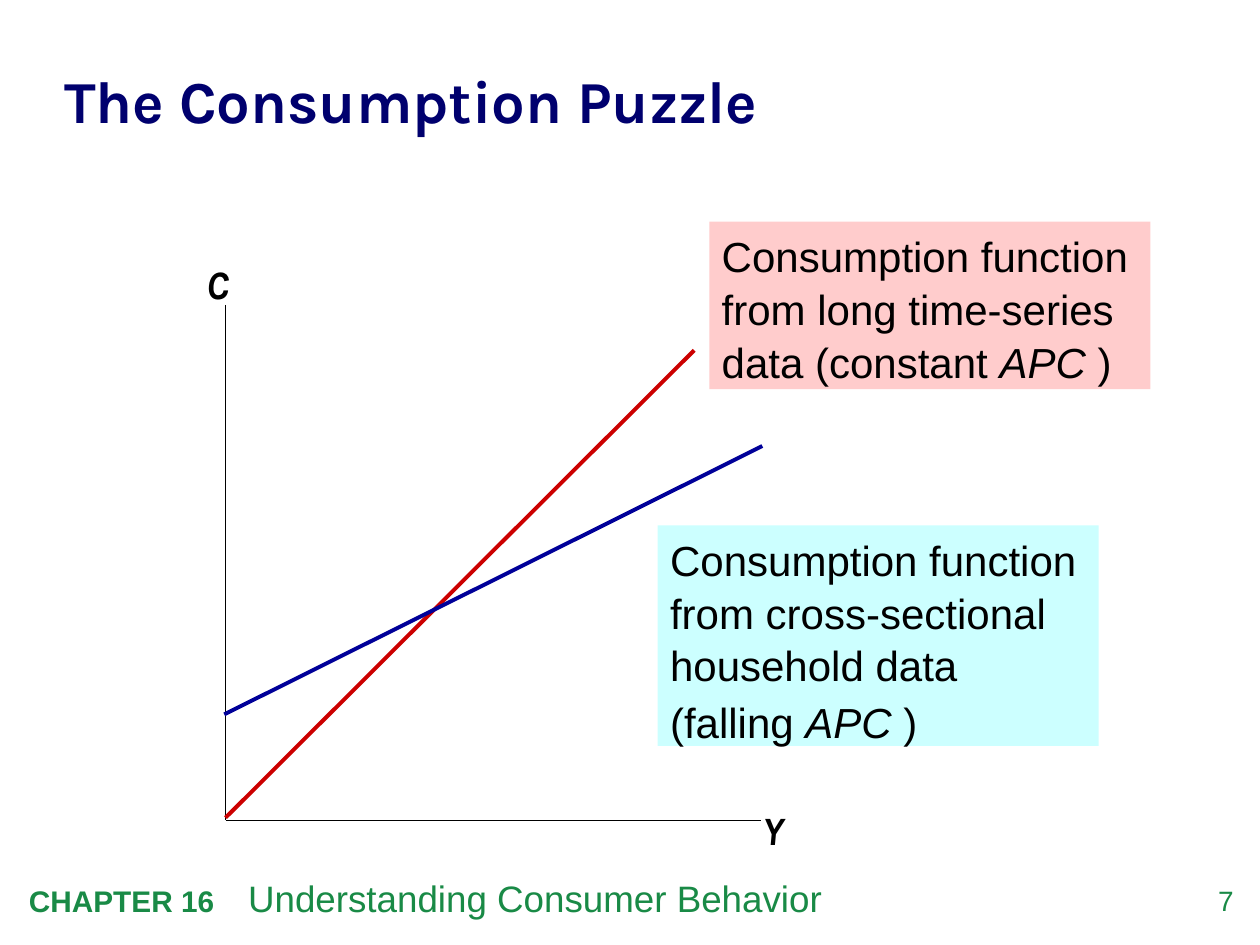
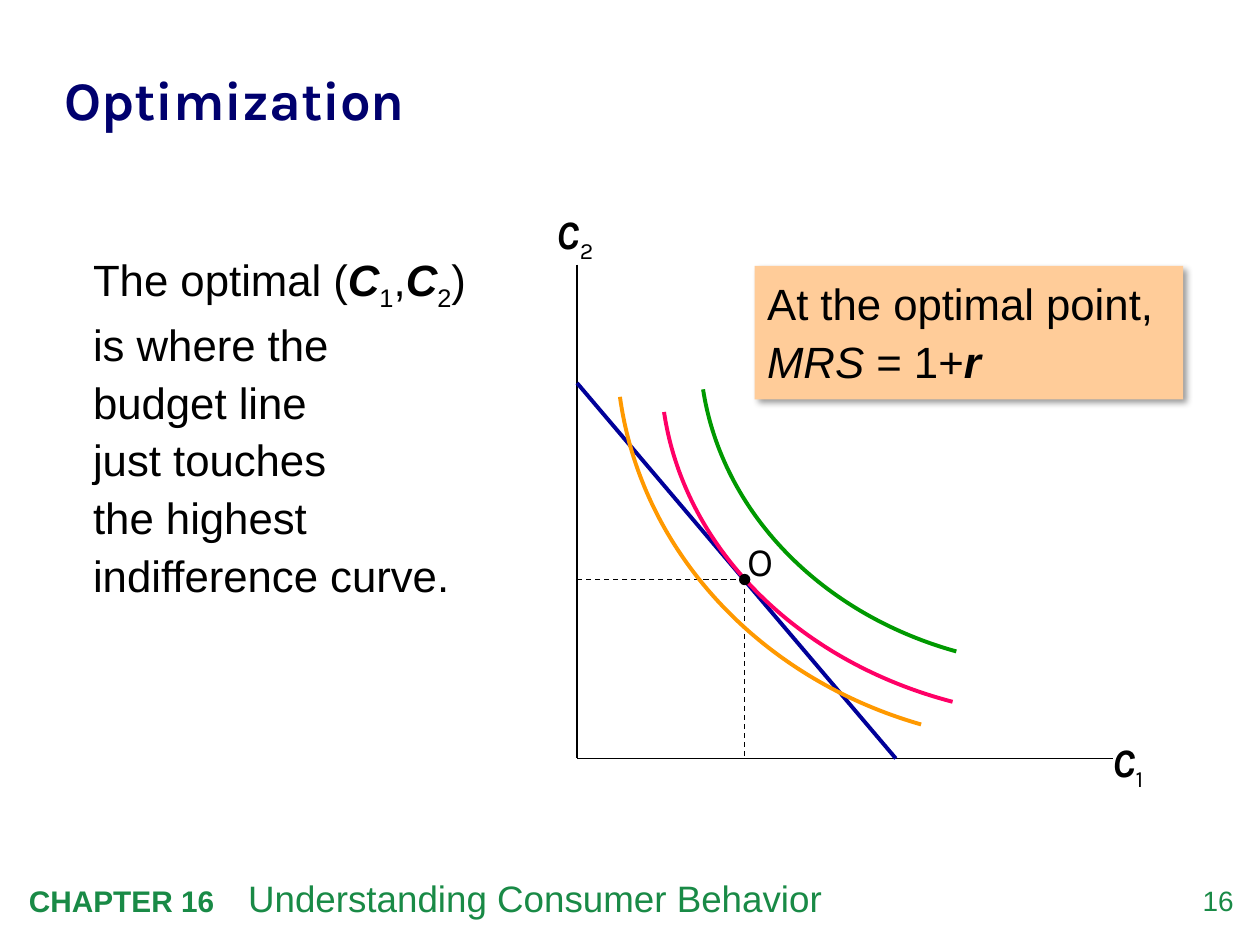
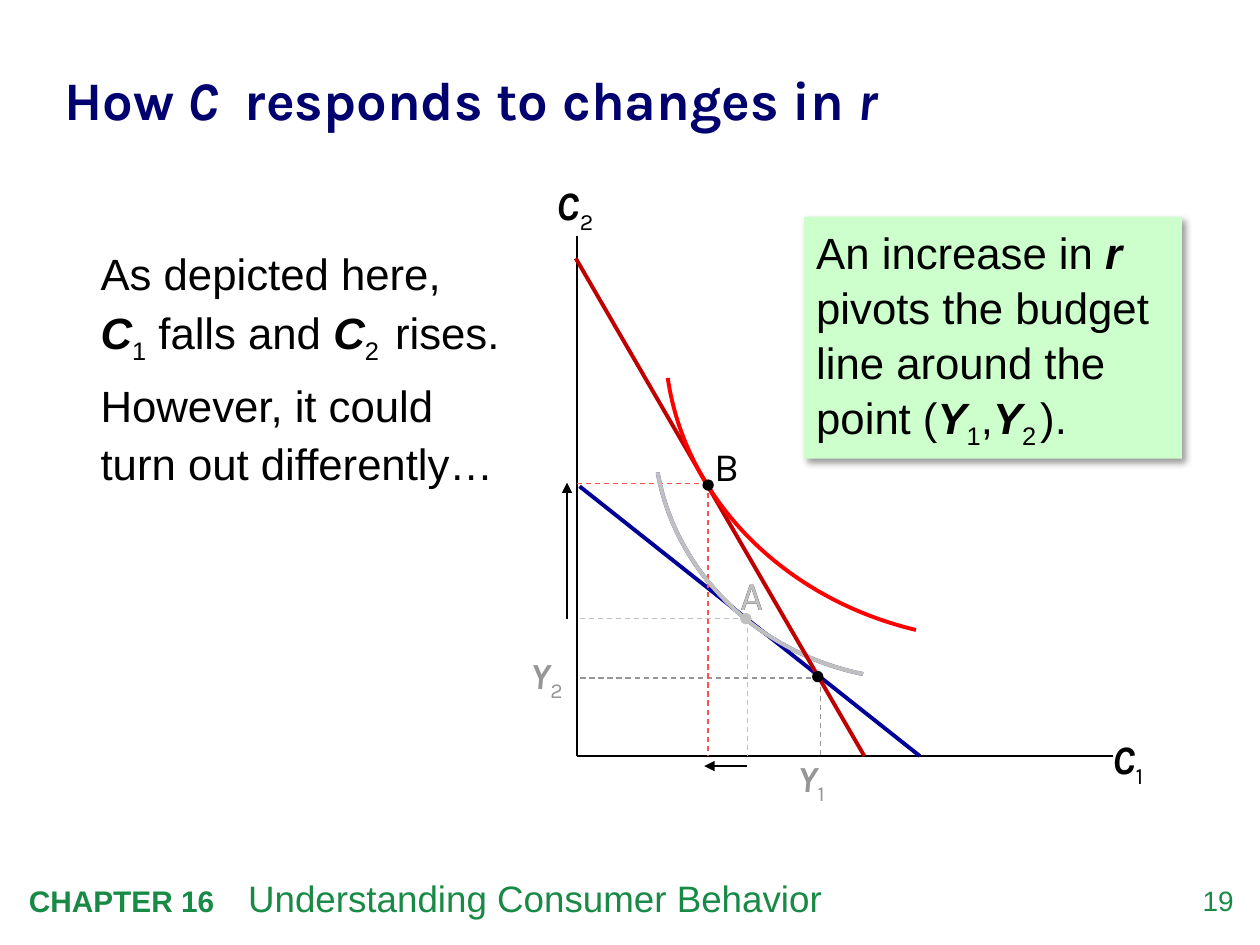
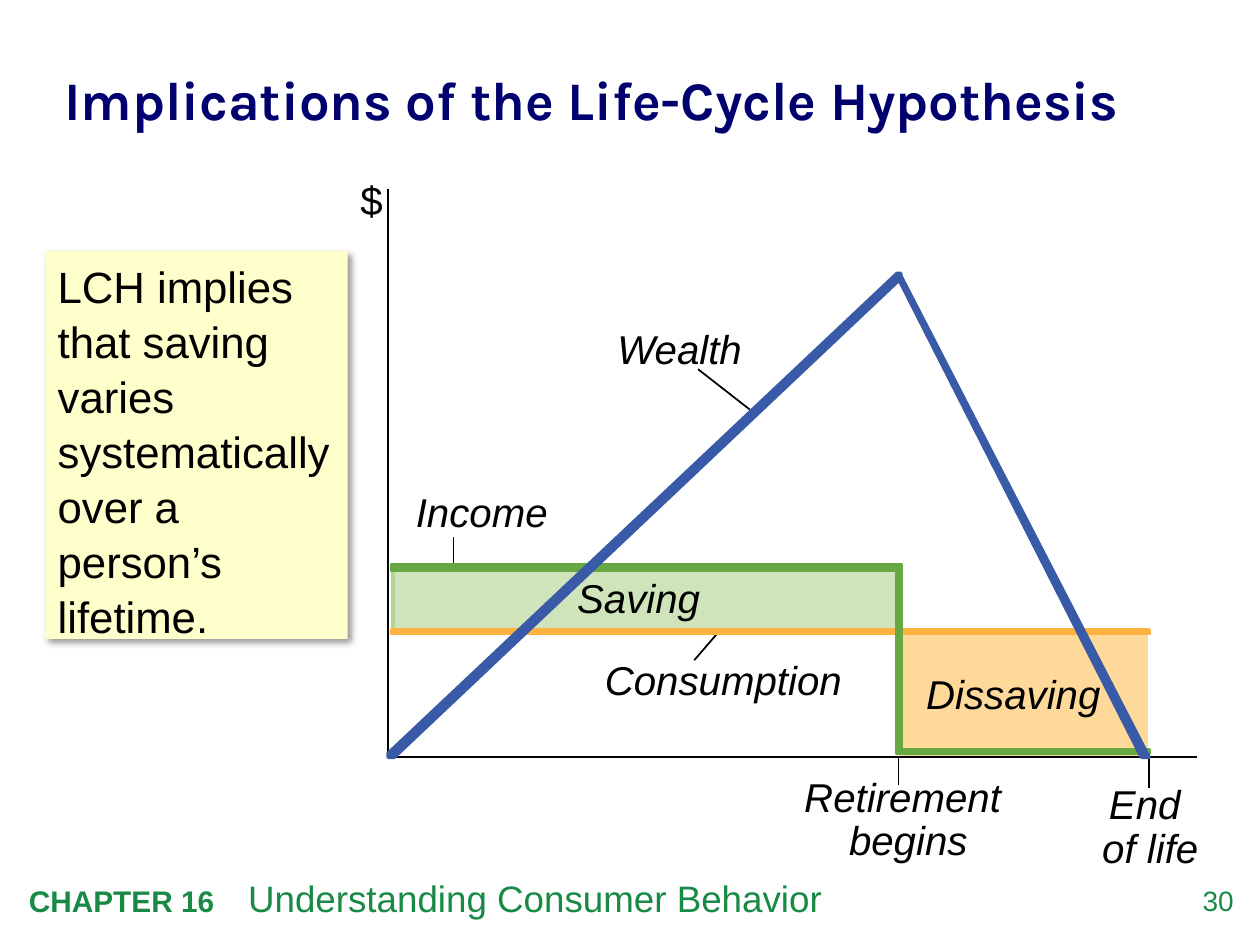
from dataclasses import dataclass

from lxml.etree import SubElement
from pptx import Presentation
from pptx.dml.color import RGBColor
from pptx.enum.dml import MSO_LINE_DASH_STYLE as Dash
from pptx.enum.shapes import MSO_CONNECTOR as Connector, MSO_SHAPE as Shape
from pptx.enum.text import MSO_ANCHOR as Anchor, PP_ALIGN as Align
from pptx.oxml.ns import qn
from pptx.util import Inches, Pt

COLUMNS, ROWS = 100, 75
WIDTH, HEIGHT = Inches(10), Inches(7.5)


@dataclass(frozen=True)
class Theme:
    body_font: str = "Arial"
    label_font: str = "Karla"
    ink: str = "000000"
    title: str = "00006E"
    footer: str = "198A46"
    budget: str = "000099"
    long_run: str = "CC0000"
    new_budget: str = "C00000"
    best_curve: str = "FF0066"
    high_curve: str = "009900"
    low_curve: str = "FF9900"
    new_curve: str = "FF0000"
    new_guide: str = "FF5050"
    old_guide: str = "333399"
    faded: str = "C0C0C0"
    endowment: str = "969696"
    pink: str = "FFCCCC"
    cyan: str = "CCFFFF"
    peach: str = "FFCC99"
    mint: str = "CCFFCC"
    cream: str = "FFFFCC"
    saving: str = "B3D492"
    dissaving: str = "FED99A"
    consumption: str = "FEB341"
    income: str = "66A842"
    wealth: str = "395AA7"
    big_title_size: int = 34
    title_size: int = 31
    body_size: int = 25
    note_size: int = 24
    label_size: int = 23
    small_label_size: int = 21
    footer_size: int = 21
    chapter_size: int = 17
    page_size: int = 16
    gap_size: int = 14
    hairline: float = 0.75
    thin: float = 1
    arrow: float = 1.5
    edge: float = 2
    thick: float = 2.25


THEME = Theme()


def rgb(code):
    return RGBColor.from_string(code)


def col(count):
    return round(WIDTH * count / COLUMNS)


def row(count):
    return round(HEIGHT * count / ROWS)


def frame(left, top, width, height):
    return col(left), row(top), col(width), row(height)


def run_parts(words, flags="", size=None):
    return words, flags, size


class SlideBuilder:
    """Draws on the current slide; lengths are columns and rows of the grid."""

    def __init__(self, theme):
        self.theme = theme
        self.deck = Presentation()
        self.deck.slide_width, self.deck.slide_height = WIDTH, HEIGHT
        self.page = None

    def new_page(self, number, title, title_size=None):
        theme = self.theme
        self.page = self.deck.slides.add_slide(self.deck.slide_layouts[6])
        self.text((92.4, 70.1, 5.5, 3.2), [[str(number)]], theme.page_size,
                  color=theme.footer, inset=(0, 0), align=Align.RIGHT)
        footer = self.text(
            (1.3, 69, 81.8, 4.5),
            [[("CHAPTER 16\t", "b", theme.chapter_size), "Understanding Consumer Behavior"]],
            theme.footer_size, color=theme.footer)
        properties = footer.text_frame.paragraphs[0]._p.get_or_add_pPr()
        SubElement(SubElement(properties, qn("a:tabLst")), qn("a:tab"),
                   pos=str(col(17.4)), algn="l")
        heading = self.text((5.1, 2.6, 90.2, 10.3), [title], title_size or theme.title_size,
                            font=theme.label_font, color=theme.title, inset=(0, 0),
                            spacing=1.05, bold=True)
        heading.text_frame.vertical_anchor = Anchor.MIDDLE

    def text(self, place, paragraphs, size, **style):
        box = self.page.shapes.add_textbox(*frame(*place))
        self.set_text(box, paragraphs, size, **style)
        return box

    def set_text(self, box, paragraphs, size, font=None, color=None, inset=(1, 0.5),
                 spacing=None, before=0, align=Align.LEFT, bold=False, wrap=True):
        """Runs are a string or (text, flags, size); flags are b, i and s (subscript)."""
        body = box.text_frame
        body.word_wrap = wrap
        body.vertical_anchor = Anchor.TOP
        body.margin_left = body.margin_right = col(inset[0])
        body.margin_top = body.margin_bottom = row(inset[1])
        for index, runs in enumerate(paragraphs):
            para = body.add_paragraph() if index else body.paragraphs[0]
            para.alignment = align
            if spacing:
                para.line_spacing = spacing
            if index:
                para.space_before = Pt(size * before)
            for item in runs:
                words, flags, run_size = run_parts(*([item] if isinstance(item, str) else item))
                for line_index, line in enumerate(words.split("\n")):
                    if line_index:
                        para.add_line_break()
                    if line:
                        self.add_run(para, line, flags, run_size or size, bold,
                                     font or self.theme.body_font, color or self.theme.ink)

    @staticmethod
    def add_run(para, words, flags, size, bold, font, color):
        span = para.add_run()
        span.text = words
        span.font.name, span.font.size = font, Pt(size)
        span.font.bold, span.font.italic = bold or "b" in flags, "i" in flags
        span.font.color.rgb = rgb(color)
        if "s" in flags:
            span.font._element.set("baseline", "-25000")

    def shape(self, kind, place, fill, line=None, width=None, opacity=None):
        item = self.page.shapes.add_shape(kind, *frame(*place))
        self.paint(item, fill, line, width)
        if opacity:
            color = item._element.spPr.find(qn("a:solidFill"))[0]
            SubElement(color, qn("a:alpha"), val=str(opacity * 1000))
        return item

    @staticmethod
    def paint(item, fill, line, width):
        item.shadow.inherit = False
        if fill:
            item.fill.solid()
            item.fill.fore_color.rgb = rgb(fill)
        else:
            item.fill.background()
        if line:
            item.line.color.rgb = rgb(line)
            item.line.width = Pt(width)
        else:
            item.line.fill.background()

    def note(self, place, fill, paragraphs, size, spacing=1.05, shadow=True):
        box = self.shape(Shape.RECTANGLE, place, fill)
        self.set_text(box, paragraphs, size, spacing=spacing, before=0.1)
        if shadow:
            effects = box._element.spPr.find(qn("a:effectLst"))
            outer = SubElement(effects, qn("a:outerShdw"), blurRad=str(Pt(4)), dist=str(Pt(3)),
                               dir="2700000", algn="tl", rotWithShape="0")
            color = SubElement(outer, qn("a:srgbClr"), val=self.theme.ink)
            SubElement(color, qn("a:alpha"), val="40000")

    def line(self, start, end, color=None, width=None, dashed=False, arrow=False):
        link = self.page.shapes.add_connector(
            Connector.STRAIGHT, col(start[0]), row(start[1]), col(end[0]), row(end[1]))
        link.line.color.rgb = rgb(color or self.theme.ink)
        link.line.width = Pt(width or self.theme.thin)
        if dashed:
            link.line.dash_style = Dash.DASH
        if arrow:
            SubElement(link._element.spPr.find(qn("a:ln")), qn("a:tailEnd"), type="triangle")
        SubElement(link._element.spPr, qn("a:effectLst"))

    def outline(self, points, fill=None, line=None, width=None, close=True):
        corners = [(col(x), row(y)) for x, y in points]
        builder = self.page.shapes.build_freeform(*corners[0])
        builder.add_line_segments(corners[1:], close=close)
        item = builder.convert_to_shape()
        self.paint(item, fill, line or self.theme.ink, width or self.theme.thin)
        return item

    def curve(self, points, color):
        """Bend an open outline of four points into one cubic curve."""
        item = self.outline(points, line=color, width=self.theme.thick, close=False)
        steps = item._element.findall(".//" + qn("a:lnTo"))
        owner = steps[0].getparent()
        bend = SubElement(owner, qn("a:cubicBezTo"))
        for step in steps:
            bend.append(step[0])
            owner.remove(step)

    def dot(self, center, color=None):
        color = color or self.theme.ink
        self.shape(Shape.OVAL, (center[0] - 0.4, center[1] - 0.4, 0.8, 0.8),
                   color, color, self.theme.hairline)

    def guides(self, point, axis, base, color=None):
        for end in ((point[0], base), (axis, point[1])):
            self.line(point, end, color, self.theme.hairline, dashed=True)

    def axes(self, left, right, top, base, width):
        self.line((left, top), (left, base), width=width)
        self.line((left, base), (right, base), width=width)

    def symbol(self, left, top, runs, color=None, size=None):
        self.text((left, top, 4.2, 4.3), [runs], size or self.theme.label_size,
                  font=self.theme.label_font, color=color, inset=(0, 0))

    def period_axes(self, top, base):
        self.axes(45.8, 88.3, top, base, self.theme.thin)
        self.symbol(88.3, base - 1.7, indexed("C", 1))
        self.symbol(44.2, top - 4.4, indexed("C", 2))

    def caption(self, place, words, flags="i", **style):
        self.text(place, [[(words, flags)]], self.theme.label_size, inset=(0, 0),
                  wrap=False, **style)


def indexed(letter, number):
    return [(letter, "bi"), (str(number), "s")]


def consumption_puzzle(slide):
    theme = slide.theme
    slide.new_page(7, ["The Consumption Puzzle"], theme.big_title_size)
    slide.axes(17.9, 60.4, 24.2, 65.1, theme.hairline)
    slide.symbol(16.4, 20.6, [("C", "bi")])
    slide.symbol(60.5, 63.9, [("Y", "bi")])
    slide.line((17.9, 64.9), (55.1, 27.8), theme.long_run, theme.thick)
    slide.note((56.3, 17.6, 35, 13.3), theme.pink,
               [["Consumption function from long time-series data (constant ", ("APC ", "i"), ")"]],
               theme.note_size, shadow=False)
    slide.line((17.8, 56.7), (60.5, 35.4), theme.budget, theme.thick)
    slide.note((52.2, 41.7, 35, 17.5), theme.cyan,
               [["Consumption function from cross-sectional household data"],
                ["(falling ", ("APC ", "i"), ")"]],
               theme.note_size, shadow=False)


def optimization(slide):
    theme = slide.theme
    base, optimum = 60.2, (59.1, 46)
    slide.new_page(16, ["Optimization"])
    slide.text((6.4, 19.1, 34.2, 36.9),
               [["The optimal (", *indexed("C", 1), ",", *indexed("C", 2),
                 ") is where the \nbudget line \njust touches \n"
                 "the highest indifference curve."]],
               theme.body_size, spacing=1.1)
    slide.period_axes(21, base)
    slide.line((45.8, 30.4), (71.1, base), theme.budget, theme.thick)
    slide.guides(optimum, 45.8, base)
    for color, points in (
        (theme.best_curve, [(75.6, 55.7), (63.3, 52.5), (54.3, 43.5), (52.7, 32.7)]),
        (theme.high_curve, [(75.9, 51.7), (65.1, 48.7), (57.3, 40.6), (55.8, 30.9)]),
        (theme.low_curve, [(73.1, 57.5), (60.2, 53.8), (50.9, 43.7), (49.2, 31.5)]),
    ):
        slide.curve(points, color)
    slide.symbol(59.3, 42.6, ["O"])
    slide.dot(optimum)
    slide.note((59.9, 21.1, 34, 10.6), theme.peach,
               [["At the optimal point, ", ("MRS", "i"), " = 1+", ("r", "bi")]],
               theme.body_size, spacing=1.1)


def response_to_interest(slide):
    theme = slide.theme
    axis, base = 45.8, 60
    old_choice, new_choice, endowment = (59.3, 49.1), (56.2, 38.4), (65.1, 53.8)
    gap = (" ", "s", theme.gap_size)

    def old_optimum(color, letter_color):
        slide.guides(old_choice, axis, base, color)
        slide.symbol(58.8, 45.3, ["A"], letter_color)
        slide.curve([(68.5, 53.5), (60.1, 51.8), (53.6, 45.4), (52.2, 37.5)], color)

    slide.new_page(19, ["How ", ("C ", "i"), " responds to changes in ", ("r", "i")])
    old_optimum(theme.old_guide, theme.ink)
    slide.note((63.8, 17.2, 30, 19.2), theme.mint,
               [["An increase in ", ("r", "bi"), " pivots the budget line around the \npoint (",
                 *indexed("Y", 1), ",", *indexed("Y", 2), gap, ")."]],
               theme.body_size)
    slide.period_axes(18.7, base)
    slide.line((46, 38.6), (73, base), theme.budget, theme.thick)
    slide.guides(endowment, axis, base, theme.endowment)
    for left, top, number in ((63.3, 60, 1), (42.1, 51.8, 2)):
        slide.symbol(left, top, indexed("Y", number), theme.endowment, theme.small_label_size)
    slide.guides(new_choice, axis, base, theme.new_guide)
    old_optimum(theme.faded, theme.faded)
    slide.dot((59.2, 49.1), theme.faded)
    slide.line((45.7, 20.5), (68.6, base), theme.new_budget, theme.thick)
    slide.dot((64.9, 53.7))
    slide.curve([(72.7, 50), (62.2, 47.5), (54.4, 39.6), (53, 30)], theme.new_curve)
    slide.dot((56.2, 38.5))
    slide.symbol(56.7, 35, ["B"])
    slide.text((7, 18.7, 34.2, 31.2),
               [["As depicted here, \n", *indexed("C", 1), " falls and ", *indexed("C", 2),
                 gap, " rises."],
                ["However, it could turn out differently…"]],
               theme.body_size, spacing=1.1, before=0.2)
    for start, end in (((59.3, 60.8), (55.9, 60.8)), ((45, 49.1), (45, 38.3))):
        slide.line(start, end, width=theme.arrow, arrow=True)


def life_cycle(slide):
    theme = slide.theme
    slide.new_page(30, ["Implications of the Life-Cycle Hypothesis"])
    slide.note((3.6, 19.9, 24, 30.8), theme.cream,
               [["LCH implies that saving varies systematically over a person’s lifetime."]],
               theme.body_size)
    slide.shape(Shape.RECTANGLE, (31.2, 45.2, 40.2, 4.9), theme.saving, theme.saving,
                theme.edge, opacity=62)
    slide.caption((45.8, 45.5, 9.8, 3.9), "Saving")
    slide.shape(Shape.RECTANGLE, (71.6, 50.4, 19.4, 9.6), theme.dissaving, theme.dissaving,
                theme.edge)
    slide.caption((73.5, 53.1, 14, 3.9), "Dissaving")
    slide.caption((63.8, 61.7, 16.6, 7), "Retirement \nbegins", align=Align.CENTER, spacing=0.9)
    slide.line((71.3, 62.3), (71.3, 60.1), width=theme.hairline)
    slide.caption((86.7, 62.3, 9.2, 6.9), "End \nof life", align=Align.CENTER, spacing=0.9)
    slide.line((91.2, 62.5), (91.2, 60.1))
    slide.caption((48, 52, 19, 3.9), "Consumption")
    slide.line((55.1, 52.4), (57, 50.2))
    slide.shape(Shape.RECTANGLE, (31.1, 50, 60.1, 0.3), theme.consumption, theme.consumption,
                theme.edge)
    slide.caption((33, 38.7, 10.6, 3.9), "Income")
    slide.line((36, 45), (36, 42.6))
    slide.outline([(71.5, 59.5), (71.5, 44.8), (31.1, 44.8), (31.1, 45.3), (71.2, 45.3),
                   (71.2, 59.8), (91.2, 59.8), (91.2, 59.5)],
                  theme.income, theme.income, theme.edge)
    slide.caption((28.6, 13.9, 1.8, 3.9), "$", flags="")
    slide.outline([(30.8, 15), (30.8, 60.1), (95, 60.1)], close=False)
    slide.caption((49, 25.7, 10, 3.9), "Wealth")
    slide.outline([(30.8, 60.1), (31.3, 60.1), (71.5, 22.1), (71.2, 21.9), (90.6, 60.1),
                   (91.2, 60.1), (71.5, 21.9), (71.5, 21.7), (71.2, 21.7), (30.8, 59.8)],
                  theme.wealth, theme.wealth, theme.edge)
    slide.line((59.5, 32.5), (55.4, 29.3))


def main():
    slide = SlideBuilder(THEME)
    for draw in (consumption_puzzle, optimization, response_to_interest, life_cycle):
        draw(slide)
    slide.deck.save("out.pptx")


if __name__ == "__main__":
    main()
